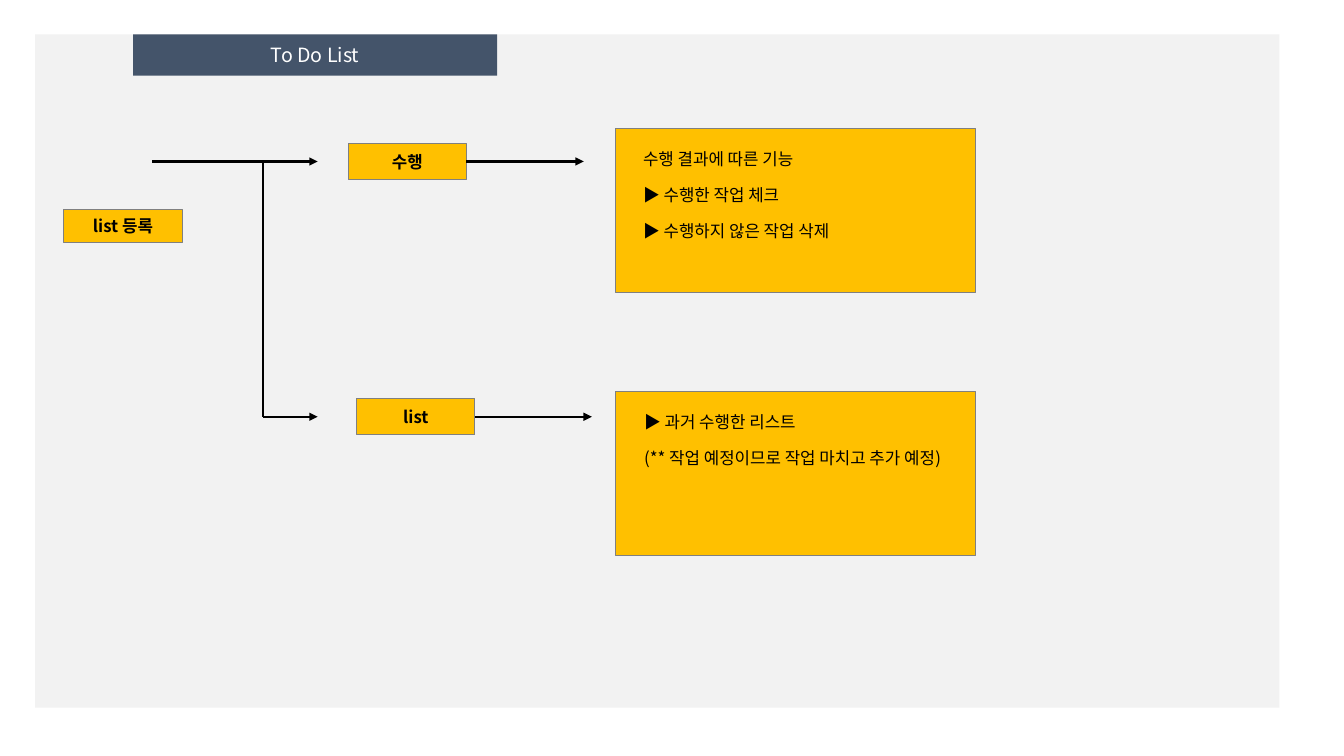
from lxml.etree import SubElement
from pptx import Presentation
from pptx.dml.color import RGBColor
from pptx.enum.shapes import MSO_CONNECTOR, MSO_SHAPE
from pptx.enum.text import MSO_ANCHOR, PP_ALIGN
from pptx.oxml.ns import qn
from pptx.util import Inches, Pt

FONT = "Noto Sans CJK KR"
PALE = RGBColor(0xF2, 0xF2, 0xF2)
AMBER = RGBColor(0xFF, 0xC0, 0x00)
GREY = RGBColor(0x80, 0x80, 0x80)
SLATE = RGBColor(0x44, 0x54, 0x6A)
BLACK = RGBColor(0, 0, 0)
WHITE = RGBColor(0xFF, 0xFF, 0xFF)

RIGHT_SIDE = 3
STEP_WIDTH, STEP_HEIGHT = 11.7, 3.6
FORK_COLUMN, FORK_END = 26.1, 31.5
PANEL_COLUMN = 61

# Each branch: step label, step column, centre row, arrow end, panel row,
# note column, note width, note lines
BRANCHES = [
    ("수행", 34.55, 16.02, 57.9, 12.75, 62.8, 30,
     ["수행 결과에 따른 기능", "▶ 수행한 작업 체크", "▶ 수행하지 않은 작업 삭제"]),
    ("list", 35.4, 41.35, 58.7, 38.85, 62.9, 40.6,
     ["▶ 과거 수행한 리스트", "(** 작업 예정이므로 작업 마치고 추가 예정)"]),
]


def grid(cells):
    """Length of a number of grid cells, ten to the inch."""
    return Inches(cells / 10)


def add_run(paragraph, text, size, color, bold=False):
    run = paragraph.add_run()
    run.text = text
    font = run.font
    font.name, font.size, font.bold = FONT, Pt(size), bold
    font.color.rgb = color
    # East Asian typeface for the Korean letters
    SubElement(run._r.get_or_add_rPr(), qn("a:ea")).set("typeface", FONT)


def add_block(slide, column, row, width, height, fill, outlined=True):
    block = slide.shapes.add_shape(
        MSO_SHAPE.RECTANGLE, *map(grid, (column, row, width, height)))
    block.shadow.inherit = False
    block.fill.solid()
    block.fill.fore_color.rgb = fill
    if outlined:
        block.line.color.rgb = GREY
        block.line.width = Pt(0.75)
    else:
        block.line.fill.background()
    return block


def add_label(block, text, size, color, bold):
    frame = block.text_frame
    frame.word_wrap = True
    frame.vertical_anchor = MSO_ANCHOR.MIDDLE
    paragraph = frame.paragraphs[0]
    paragraph.alignment = PP_ALIGN.CENTER
    add_run(paragraph, text, size, color, bold)


def add_step(slide, text, column, row, width=STEP_WIDTH, height=STEP_HEIGHT):
    step = add_block(slide, column, row, width, height, AMBER)
    add_label(step, text, 12, BLACK, True)
    return step


def add_flow(slide, start, end, arrow=True, source=None):
    flow = slide.shapes.add_connector(
        MSO_CONNECTOR.STRAIGHT, *map(grid, (*start, *end)))
    if source is not None:
        flow.begin_connect(source, RIGHT_SIDE)
    flow.line.color.rgb = BLACK
    flow.line.width = Pt(1.5)
    if arrow:
        SubElement(flow.line._get_or_add_ln(), qn("a:tailEnd")).set("type", "triangle")
    SubElement(flow._element.spPr, qn("a:effectLst"))


def add_note(slide, column, row, width, lines):
    note = slide.shapes.add_textbox(*map(grid, (column, row, width, 13.1)))
    frame = note.text_frame
    frame.word_wrap = True
    for index, line in enumerate(lines):
        paragraph = frame.paragraphs[0] if index == 0 else frame.add_paragraph()
        if index:
            paragraph.space_before = Pt(11.5)
        add_run(paragraph, line, 12, BLACK)


def main():
    deck = Presentation()
    deck.slide_width, deck.slide_height = Inches(13.33), Inches(7.5)
    slide = deck.slides.add_slide(deck.slide_layouts[6])

    # Backdrop and title
    add_block(slide, 3.5, 3.4, 123.4, 66.8, PALE, outlined=False)
    title = add_block(slide, 13.2, 3.4, 36.1, 4.1, SLATE, outlined=False)
    add_label(title, "To Do List", 14, WHITE, False)

    # Registration and the fork to both branches
    add_step(slide, "list 등록", 6.3, 20.8, 11.8, 3.3)
    first_row, second_row = (branch[2] for branch in BRANCHES)
    add_flow(slide, (15.1, first_row), (FORK_END, first_row))
    add_flow(slide, (FORK_COLUMN, first_row), (FORK_COLUMN, second_row), arrow=False)
    add_flow(slide, (FORK_COLUMN, second_row), (FORK_END, second_row))

    # Branches: step, arrow, panel with notes
    for label, column, row, arrow_end, panel_row, note_column, note_width, lines in BRANCHES:
        step = add_step(slide, label, column, row - STEP_HEIGHT / 2)
        add_flow(slide, (column + STEP_WIDTH, row), (arrow_end, row), source=step)
        add_block(slide, PANEL_COLUMN, panel_row, 35.8, 16.25, AMBER)
        add_note(slide, note_column, panel_row + 1.5, note_width, lines)

    deck.save("out.pptx")


if __name__ == "__main__":
    main()
